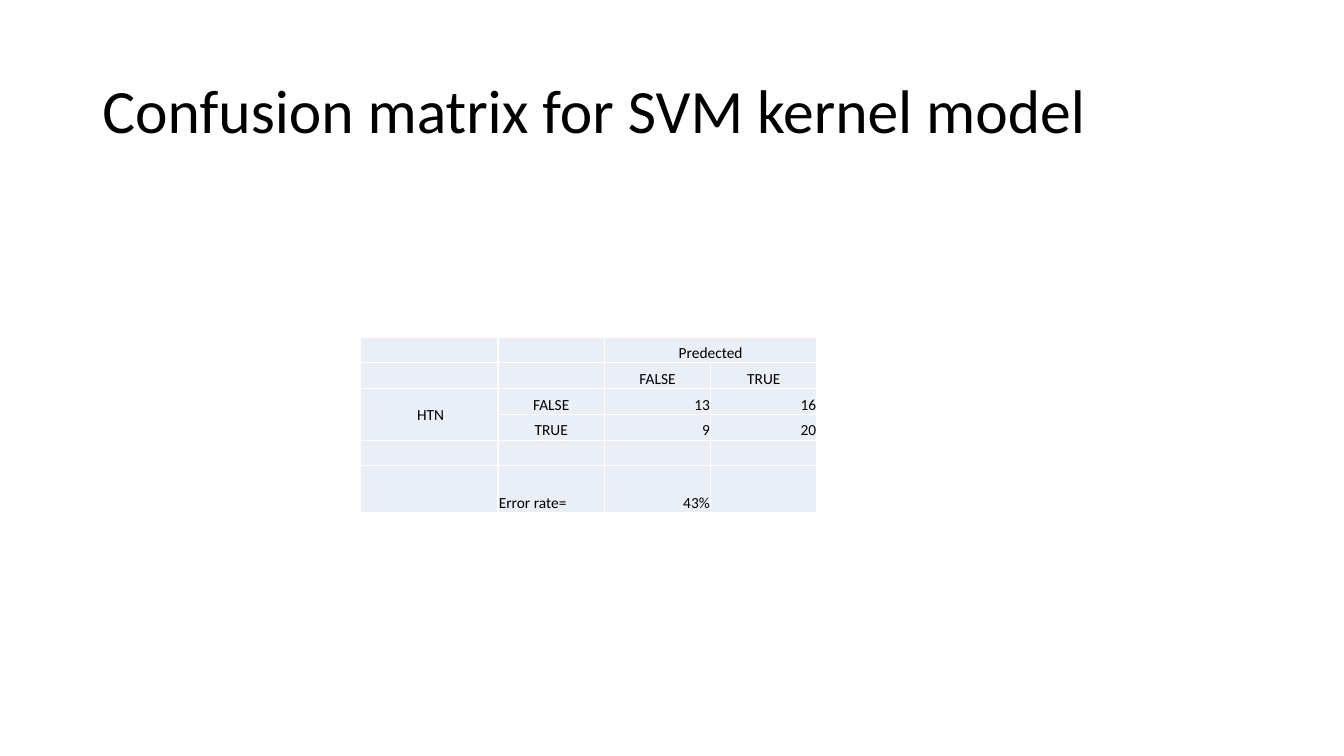
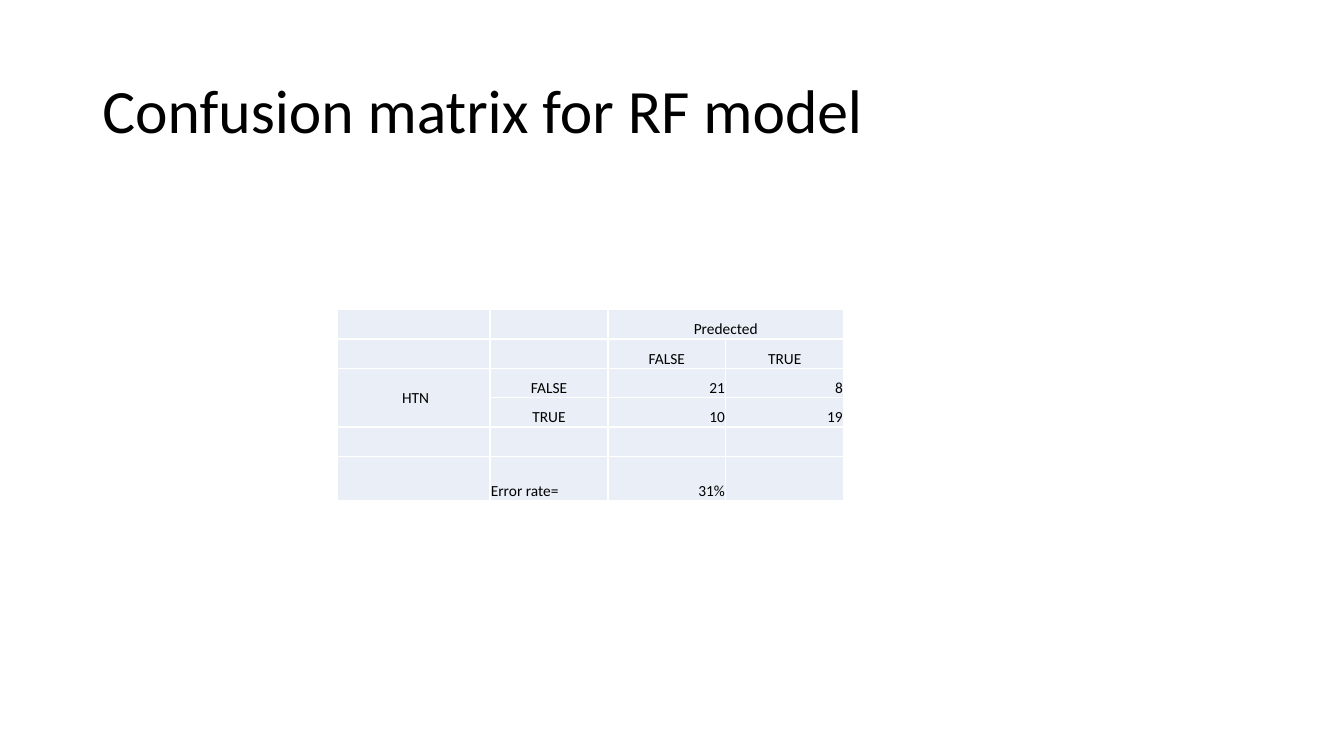
from dataclasses import dataclass
from typing import Any

from lxml import etree
from pptx import Presentation
from pptx.dml.color import RGBColor
from pptx.enum.text import MSO_ANCHOR, PP_ALIGN
from pptx.oxml.ns import qn
from pptx.util import Cm, Pt

LEFT, CENTER, RIGHT = PP_ALIGN.LEFT, PP_ALIGN.CENTER, PP_ALIGN.RIGHT
MIDDLE, BOTTOM = MSO_ANCHOR.MIDDLE, MSO_ANCHOR.BOTTOM

BLACK, WHITE, PALE_BLUE = "000000", "FFFFFF", "EAEFF7"
TITLE_FONT = {"name": "Calibri", "size": Pt(44)}
CELL_FONT = {"name": "Calibri", "size": Pt(11)}
CELL_FORMAT = {
    "vertical_anchor": BOTTOM,
    "margin_left": Cm(0.02),
    "margin_right": Cm(0.02),
    "margin_top": Cm(0.02),
    "margin_bottom": 0,
}
BORDER_SIDES = ("a:lnL", "a:lnR", "a:lnT", "a:lnB")
BLANK_LAYOUT = 6
ROW_COUNT, COLUMN_COUNT = 6, 4


@dataclass(frozen=True)
class ConfusionMatrix:
    """Counts of one model, and the table's place and sizes in centimetres."""

    model: str
    counts: tuple[tuple[int, int], tuple[int, int]]
    left: float
    top: float
    label_width: float
    column_width: float
    row_height: float
    last_row_height: float

    @property
    def error_rate(self) -> str:
        (true_negative, false_positive), (false_negative, true_positive) = self.counts
        errors = false_positive + false_negative
        return f"{errors / (errors + true_negative + true_positive):.0%}"


MATRICES = (
    ConfusionMatrix("SVM kernel", ((13, 16), (9, 20)), 9.07, 8.49, 3.48, 2.68, 0.65, 1.18),
    ConfusionMatrix("RF", ((21, 8), (10, 19)), 8.51, 7.8, 3.84, 2.97, 0.74, 1.11),
)


def color(value: str) -> RGBColor:
    return RGBColor.from_string(value)


def apply_format(target: Any, values: dict[str, Any]) -> None:
    for name, value in values.items():
        setattr(target, name, value)


def write(para: Any, text: str, font: dict[str, Any]) -> None:
    span = para.add_run()
    span.text = text
    apply_format(span.font, font)
    span.font.color.rgb = color(BLACK)


def add_title(page: Any, text: str) -> None:
    box = page.shapes.add_textbox(Cm(2.33), Cm(1.01), Cm(29.21), Cm(3.68))
    apply_format(box.text_frame, {"word_wrap": True, "vertical_anchor": MIDDLE})
    para = box.text_frame.paragraphs[0]
    para.line_spacing = 0.9
    write(para, text, TITLE_FONT)


def add_borders(cell: Any) -> None:
    properties = cell._tc.get_or_add_tcPr()
    for side in BORDER_SIDES:
        line = etree.SubElement(properties, qn(side), w=str(Pt(1)))
        fill = etree.SubElement(line, qn("a:solidFill"))
        etree.SubElement(fill, qn("a:srgbClr"), val=WHITE)


def style_cell(cell: Any) -> None:
    """Give a cell its fill and borders, and keep its empty line small."""
    add_borders(cell)
    apply_format(cell, CELL_FORMAT)
    cell.fill.solid()
    cell.fill.fore_color.rgb = color(PALE_BLUE)
    size = str(int(CELL_FONT["size"].pt * 100))
    etree.SubElement(cell.text_frame.paragraphs[0]._p, qn("a:endParaRPr"), sz=size)


def cell_texts(matrix: ConfusionMatrix) -> dict[tuple[int, int], tuple[str, Any]]:
    """Map (row, column) to the text and its alignment."""
    texts = {
        (0, 2): ("Predected", CENTER),
        (2, 0): (" HTN", CENTER),
        (5, 1): ("Error rate=", LEFT),
        (5, 2): (matrix.error_rate, RIGHT),
    }
    for index, label in enumerate(("FALSE", "TRUE"), start=2):
        texts[1, index] = texts[index, 1] = (label, CENTER)
    for row, counts in enumerate(matrix.counts, start=2):
        for column, count in enumerate(counts, start=2):
            texts[row, column] = (str(count), RIGHT)
    return texts


def add_matrix(page: Any, matrix: ConfusionMatrix) -> None:
    widths = [matrix.label_width] + [matrix.column_width] * (COLUMN_COUNT - 1)
    heights = [matrix.row_height] * (ROW_COUNT - 1) + [matrix.last_row_height]
    table = page.shapes.add_table(
        ROW_COUNT, COLUMN_COUNT, Cm(matrix.left), Cm(matrix.top),
        Cm(sum(widths)), Cm(sum(heights)),
    ).table
    apply_format(table, {"first_row": False, "horz_banding": False})
    for column, width in zip(table.columns, widths):
        column.width = Cm(width)
    for row, height in zip(table.rows, heights):
        row.height = Cm(height)
    for cell in table.iter_cells():
        style_cell(cell)
    table.cell(0, 2).merge(table.cell(0, 3))
    table.cell(2, 0).merge(table.cell(3, 0))
    table.cell(2, 0).vertical_anchor = MIDDLE
    for (row, column), (text, alignment) in cell_texts(matrix).items():
        para = table.cell(row, column).text_frame.paragraphs[0]
        para.alignment = alignment
        write(para, text, CELL_FONT)


def main() -> None:
    deck = Presentation()
    apply_format(deck, {"slide_width": Cm(33.87), "slide_height": Cm(19.05)})
    for matrix in MATRICES:
        page = deck.slides.add_slide(deck.slide_layouts[BLANK_LAYOUT])
        add_title(page, f"Confusion matrix for {matrix.model} model")
        add_matrix(page, matrix)
    deck.save("out.pptx")


if __name__ == "__main__":
    main()
